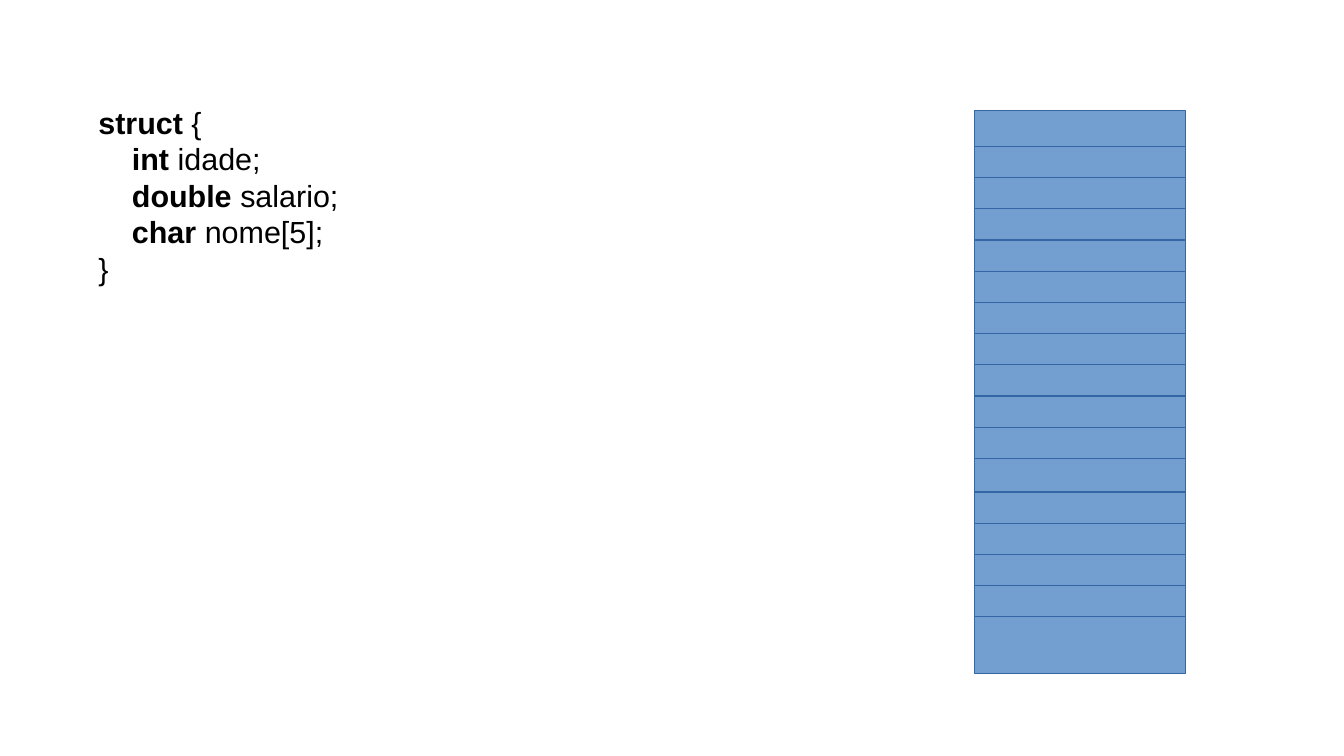
from dataclasses import dataclass

from pptx import Presentation
from pptx import util as u
from pptx.dml.color import RGBColor
from pptx.enum import shapes, text


@dataclass(frozen=True)
class Theme:
    font: str = "Arial"
    code_size: int = 18
    code_color: RGBColor = RGBColor(0, 0, 0)
    cell_fill: RGBColor = RGBColor(0x72, 0x9F, 0xCF)
    cell_line: RGBColor = RGBColor(0x34, 0x65, 0xA4)


THEME = Theme()
INDENT = u.Cm(0.7)
CELL_HEIGHT = u.Cm(1.19)
CELL_PITCH = 0.65
CELL_RUNS = [(0, 1), (0.75, 11), (7.95, 5)]
STRUCT_LINES = [
    (0, "struct", " {"),
    (1, "int", " idade;"),
    (1, "double", " salario;"),
    (1, "char", " nome[5];"),
    (0, "", "}"),
]


def apply_format(target, values):
    for name, value in values.items():
        setattr(target, name, value)


def add_struct_code(slide, left, top, width, height):
    code = slide.shapes.add_textbox(left, top, width, height).text_frame
    apply_format(code, {
        "word_wrap": True,
        "auto_size": text.MSO_AUTO_SIZE.SHAPE_TO_FIT_TEXT,
        "margin_left": u.Cm(0.25),
        "margin_right": 0,
        "margin_top": u.Cm(0.13),
        "margin_bottom": u.Cm(0.13),
    })
    for number, (depth, keyword, rest) in enumerate(STRUCT_LINES):
        line = code.add_paragraph() if number else code.paragraphs[0]
        line.alignment = text.PP_ALIGN.LEFT
        if depth:
            line._p.get_or_add_pPr().set("marL", str(depth * INDENT))
        for words, bold in ((keyword, True), (rest, False)):
            if words:
                run = line.add_run()
                run.text = words
                apply_format(run.font, {
                    "name": THEME.font,
                    "size": u.Pt(THEME.code_size),
                    "bold": bold,
                })
                run.font.color.rgb = THEME.code_color


def add_memory_column(slide, left, top, width):
    for start, count in CELL_RUNS:
        for row in range(count):
            cell = slide.shapes.add_shape(
                shapes.MSO_SHAPE.RECTANGLE, left,
                top + u.Cm(start + row * CELL_PITCH), width, CELL_HEIGHT)
            cell.shadow.inherit = False
            cell.fill.solid()
            cell.fill.fore_color.rgb = THEME.cell_fill
            cell.line.color.rgb = THEME.cell_line
            cell.line.width = u.Pt(0)


def main():
    deck = Presentation()
    apply_format(deck, {"slide_width": u.Cm(28), "slide_height": u.Cm(15.75)})
    slide = deck.slides.add_slide(deck.slide_layouts[6])
    add_memory_column(slide, u.Cm(20.3), u.Cm(2.3), u.Cm(4.4))
    add_struct_code(slide, u.Cm(1.8), u.Cm(2.03), u.Cm(5.5), u.Cm(3.8))
    deck.save("out.pptx")


if __name__ == "__main__":
    main()
